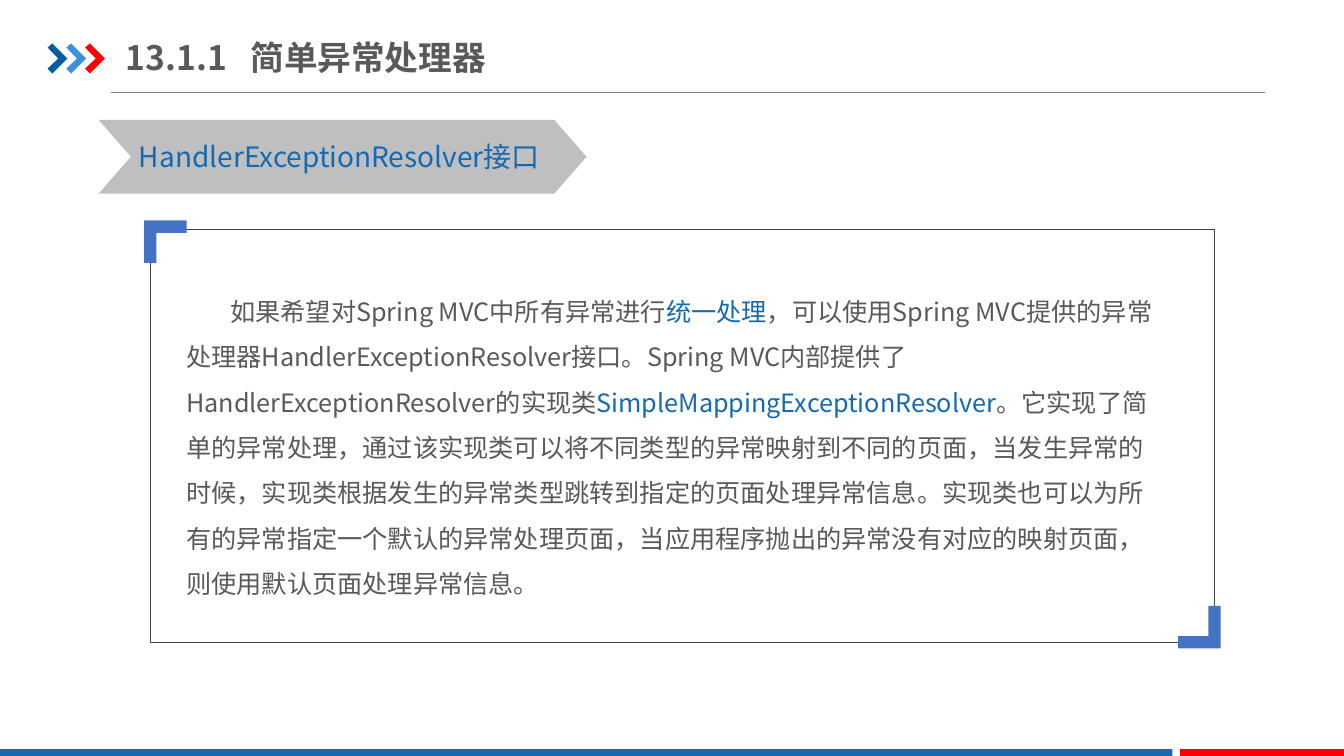
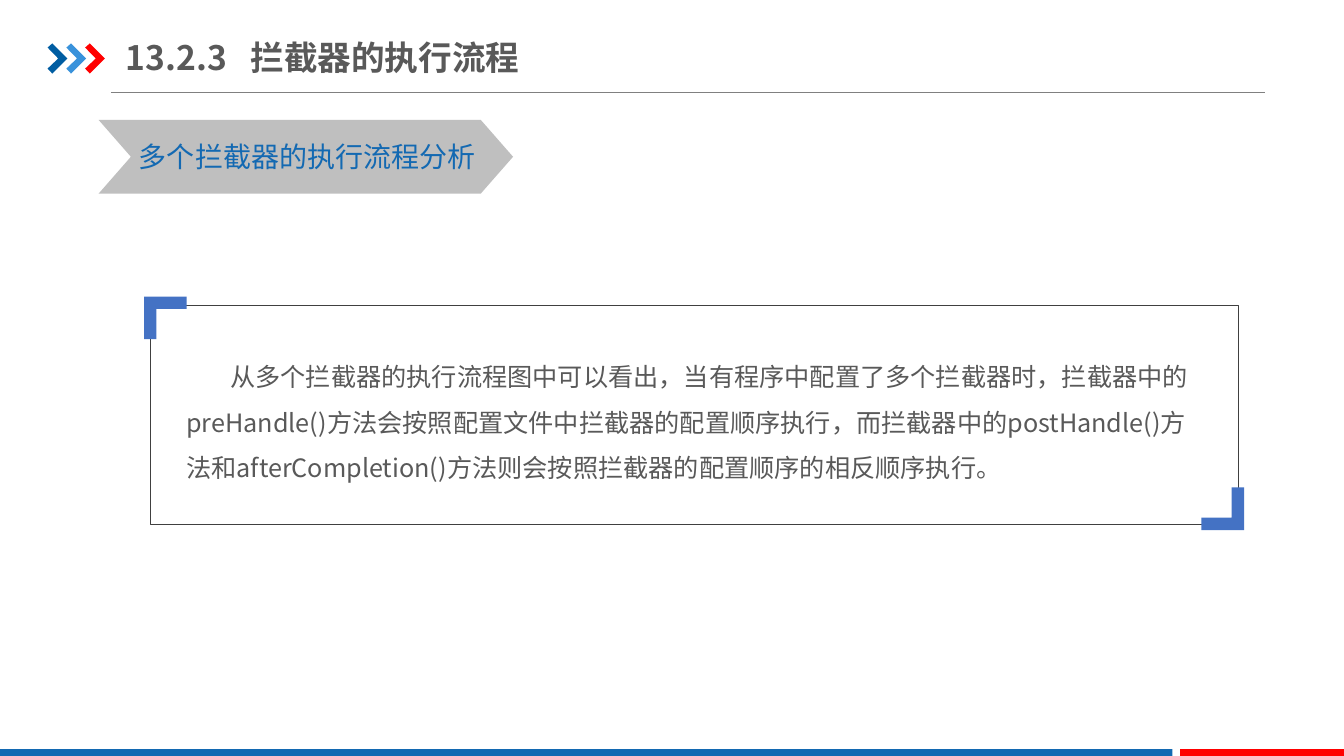
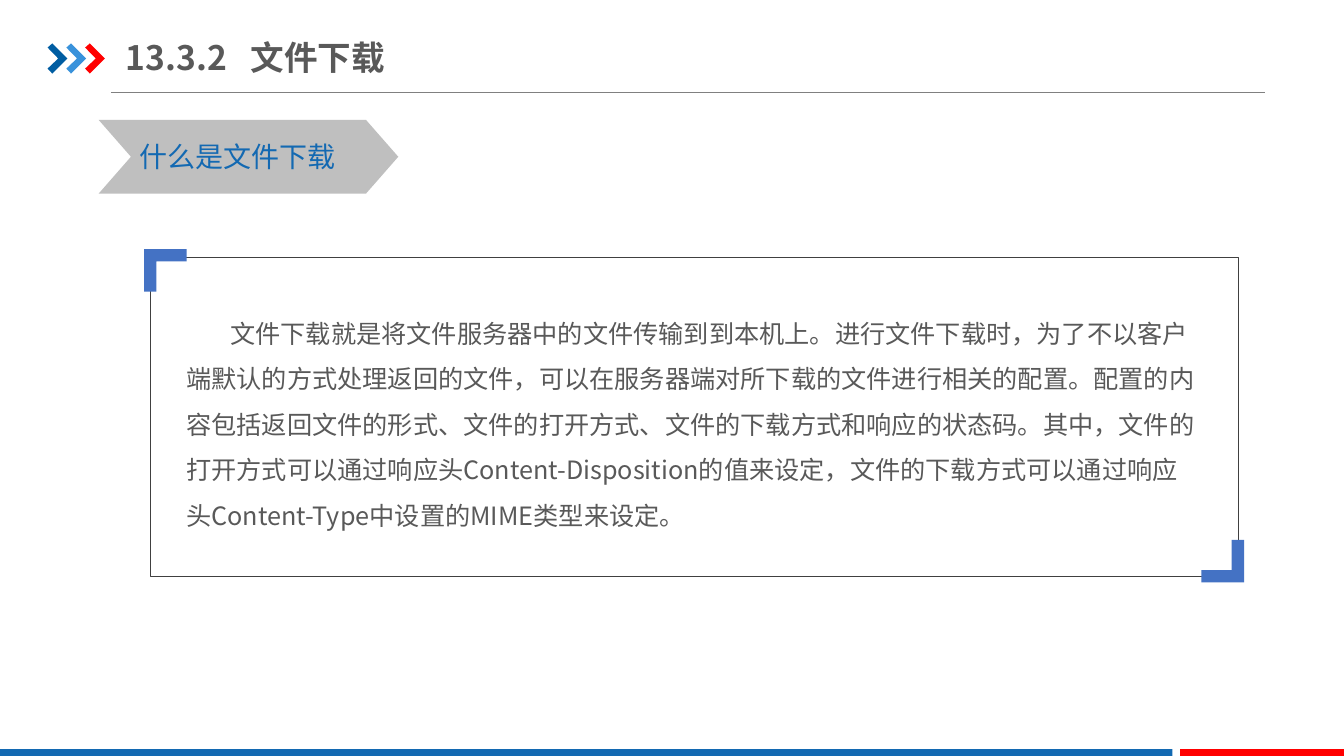
"""Build three text slides with a shared title, banner and framed paragraph."""
from dataclasses import dataclass

from lxml import etree
from pptx import Presentation
from pptx import util as u
from pptx.dml.color import RGBColor
from pptx.enum import shapes, text
from pptx.oxml.ns import qn

FONT = "Noto Sans CJK SC"
BLUE, RED, GREY, TEXT = "1369B2", "FF0000", "BFBFBF", "595959"
RULE, FRAME, CORNER = "808080", "404040", "4472C4"
ARROWS = ("005DA2", "3992DB", RED)
ARROW_POINTS = ((0, 3), (3.4, 0), (14.2, 10.8), (3.4, 21.6), (0, 18), (7.6, 10.8))
ARM, THICK = 30.4, 8.8
CORNER_POINTS = ((0, 0), (ARM, 0), (ARM, THICK), (THICK, THICK), (THICK, ARM), (0, ARM))
FRAME_LEFT, OVERHANG_X, OVERHANG_TOP = 107.3, 4.3, 6.1


@dataclass
class Box:
    left: float
    top: float
    width: float
    height: float

    def emu(self) -> tuple:
        return tuple(u.Pt(v) for v in (self.left, self.top, self.width, self.height))


@dataclass
class Topic:
    number: str
    title: str
    title_width: float
    label: str
    label_width: float
    frame: Box
    body: Box
    passages: tuple


TOPICS = (
    Topic("13.1.1", "简单异常处理器", 317.5, "HandlerExceptionResolver接口", 348.5,
          Box(FRAME_LEFT, 163.6, 760.3, 295.2), Box(126, 197.3, 715.7, 236.9),
          ("如果希望对Spring MVC中所有异常进行", "统一处理",
           "，可以使用Spring MVC提供的异常处理器HandlerExceptionResolver接口。"
           "Spring MVC内部提供了HandlerExceptionResolver的实现类",
           "SimpleMappingExceptionResolver",
           "。它实现了简单的异常处理，通过该实现类可以将不同类型的异常映射到不同的页面，"
           "当发生异常的时候，实现类根据发生的异常类型跳转到指定的页面处理异常信息。"
           "实现类也可以为所有的异常指定一个默认的异常处理页面，"
           "当应用程序抛出的异常没有对应的映射页面，则使用默认页面处理异常信息。")),
    Topic("13.2.3", "拦截器的执行流程", 321, "多个拦截器的执行流程分析", 296,
          Box(FRAME_LEFT, 218, 777, 156.3), Box(126, 244.1, 739.4, 112.3),
          ("从多个拦截器的执行流程图中可以看出，当有程序中配置了多个拦截器时，"
           "拦截器中的preHandle()方法会按照配置文件中拦截器的配置顺序执行，"
           "而拦截器中的postHandle()方法和afterCompletion()方法则会按照拦截器的"
           "配置顺序的相反顺序执行。",)),
    Topic("13.3.2", "文件下载", 214, "什么是文件下载", 214,
          Box(FRAME_LEFT, 184, 777, 227.7), Box(126, 213.1, 739.4, 176.4),
          ("文件下载就是将文件服务器中的文件传输到到本机上。进行文件下载时，"
           "为了不以客户端默认的方式处理返回的文件，可以在服务器端对所下载的文件进行"
           "相关的配置。配置的内容包括返回文件的形式、文件的打开方式、文件的下载方式和"
           "响应的状态码。其中，文件的打开方式可以通过响应头Content-Disposition的值来设定，"
           "文件的下载方式可以通过响应头Content-Type中设置的MIME类型来设定。",)),
)


def rgb(value: str) -> RGBColor:
    return RGBColor.from_string(value)


def paint(sp, fill: str):
    sp.shadow.inherit = False
    sp.fill.solid()
    sp.fill.fore_color.rgb = rgb(fill)
    sp.line.fill.background()
    return sp


def add_block(s, kind, box: Box, fill: str):
    return paint(s.shapes.add_shape(kind, *box.emu()), fill)


def add_outline(s, points: tuple, left: float, top: float, fill: str):
    spots = [(u.Pt(left + x), u.Pt(top + y)) for x, y in points]
    builder = s.shapes.build_freeform(*spots[0], scale=1.0)
    builder.add_line_segments(spots[1:], close=True)
    return paint(builder.convert_to_shape(), fill)


def add_text(s, box: Box, passages: tuple, size: float, colours: tuple, bold: bool = False):
    sp = s.shapes.add_textbox(*box.emu())
    tf = sp.text_frame
    tf.word_wrap = True
    p = tf.paragraphs[0]
    for i, passage in enumerate(passages):
        r = p.add_run()
        r.text = passage
        r.font.name, r.font.size, r.font.bold = FONT, u.Pt(size), bold
        r.font.color.rgb = rgb(colours[i % len(colours)])
        etree.SubElement(r.font._element, qn("a:ea")).set("typeface", FONT)
    return tf


def add_shared(s) -> None:
    ln = s.shapes.add_connector(shapes.MSO_CONNECTOR.STRAIGHT,
                                u.Pt(79.2), u.Pt(65.8), u.Pt(903.6), u.Pt(65.8))
    ln.line.color.rgb = rgb(RULE)
    ln.line.width = u.Pt(0.5)
    etree.SubElement(ln._element.spPr, qn("a:effectLst"))
    for i, colour in enumerate(ARROWS):
        add_outline(s, ARROW_POINTS, 34 + 13.4 * i, 31, colour)
    for left, width, colour in ((0, 837.4, BLUE), (843, 117, RED)):
        add_block(s, shapes.MSO_SHAPE.RECTANGLE, Box(left, 535, width, 6.2), colour)


def add_title(s, topic: Topic) -> None:
    tf = add_text(s, Box(90, 21, topic.title_width, 39.6),
                  (f"{topic.number}\t{topic.title}",), 24, (TEXT,), True)
    tf.margin_left = tf.margin_right = 0
    tf.margin_top = tf.margin_bottom = u.Pt(5)
    tf.vertical_anchor = text.MSO_ANCHOR.MIDDLE
    tabs = etree.SubElement(tf.paragraphs[0]._p.get_or_add_pPr(), qn("a:tabLst"))
    etree.SubElement(tabs, qn("a:tab"), pos=str(u.Pt(89)), algn="l")


def add_banner(s, topic: Topic) -> None:
    sp = add_block(s, shapes.MSO_SHAPE.CHEVRON, Box(70.5, 85.7, topic.label_width, 52.6), GREY)
    sp.adjustments[0] = 0.438
    add_text(s, Box(92.2, 95.8, topic.label_width - 36, 31.5), (topic.label,), 20, (BLUE,))


def add_body(s, topic: Topic) -> None:
    p = add_text(s, topic.body, topic.passages, 18, (TEXT, BLUE)).paragraphs[0]
    p.line_spacing = 1.5
    p._p.get_or_add_pPr().set("indent", str(u.Pt(31.5)))


def add_frame(s, box: Box) -> None:
    sp = s.shapes.add_shape(shapes.MSO_SHAPE.RECTANGLE, *box.emu())
    sp.shadow.inherit = False
    sp.fill.background()
    sp.line.color.rgb = rgb(FRAME)
    sp.line.width = u.Pt(0.25)
    add_outline(s, CORNER_POINTS, box.left - OVERHANG_X, box.top - OVERHANG_TOP, CORNER)
    right = box.left + box.width + OVERHANG_X
    bottom = box.top + box.height + OVERHANG_X
    add_outline(s, CORNER_POINTS, right - ARM, bottom - ARM, CORNER).rotation = 180


def main() -> None:
    prs = Presentation()
    prs.slide_width, prs.slide_height = u.Pt(960), u.Pt(540)
    for topic in TOPICS:
        s = prs.slides.add_slide(prs.slide_layouts[6])
        add_shared(s)
        add_banner(s, topic)
        add_title(s, topic)
        add_body(s, topic)
        add_frame(s, topic.frame)
    prs.save("out.pptx")


if __name__ == "__main__":
    main()
